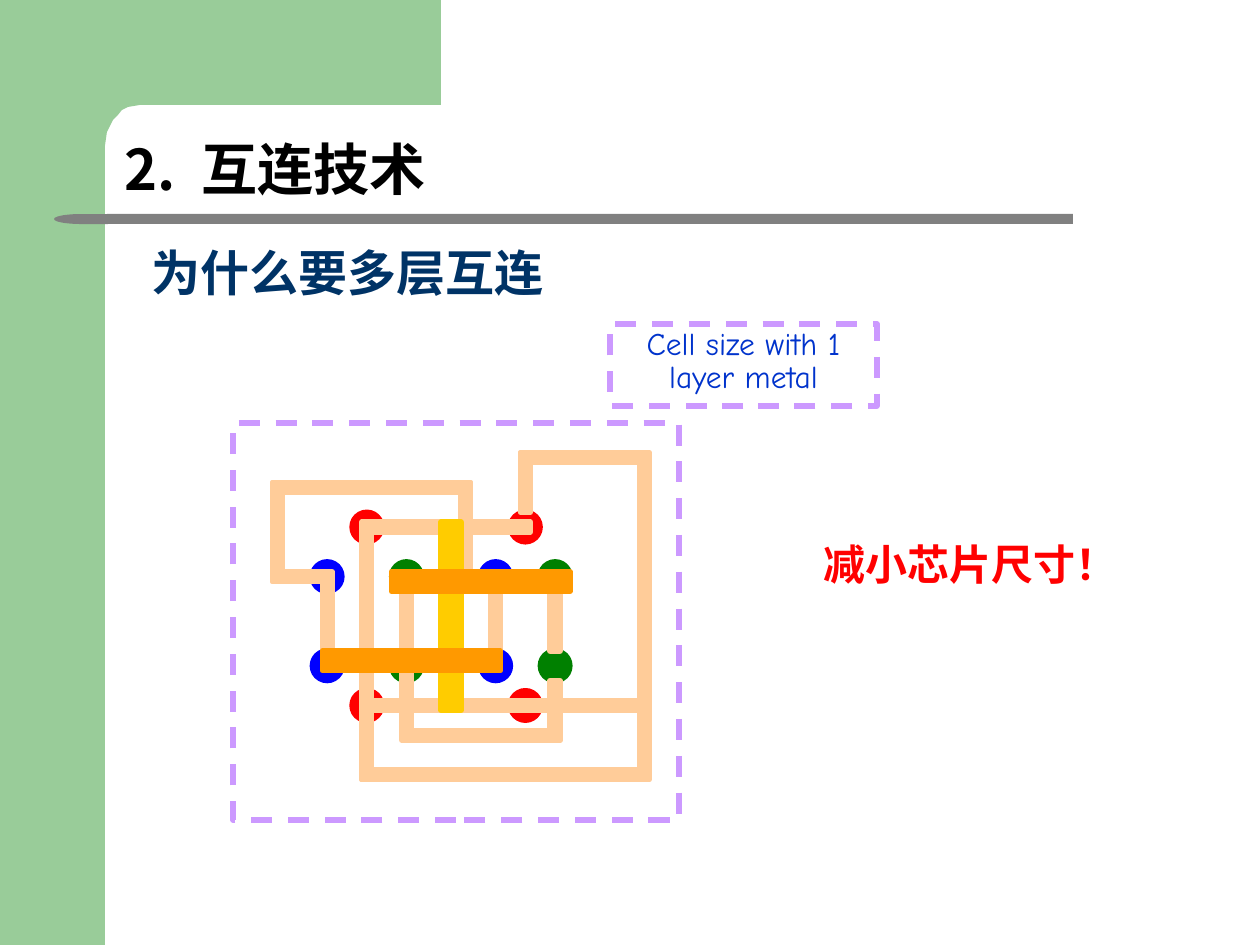
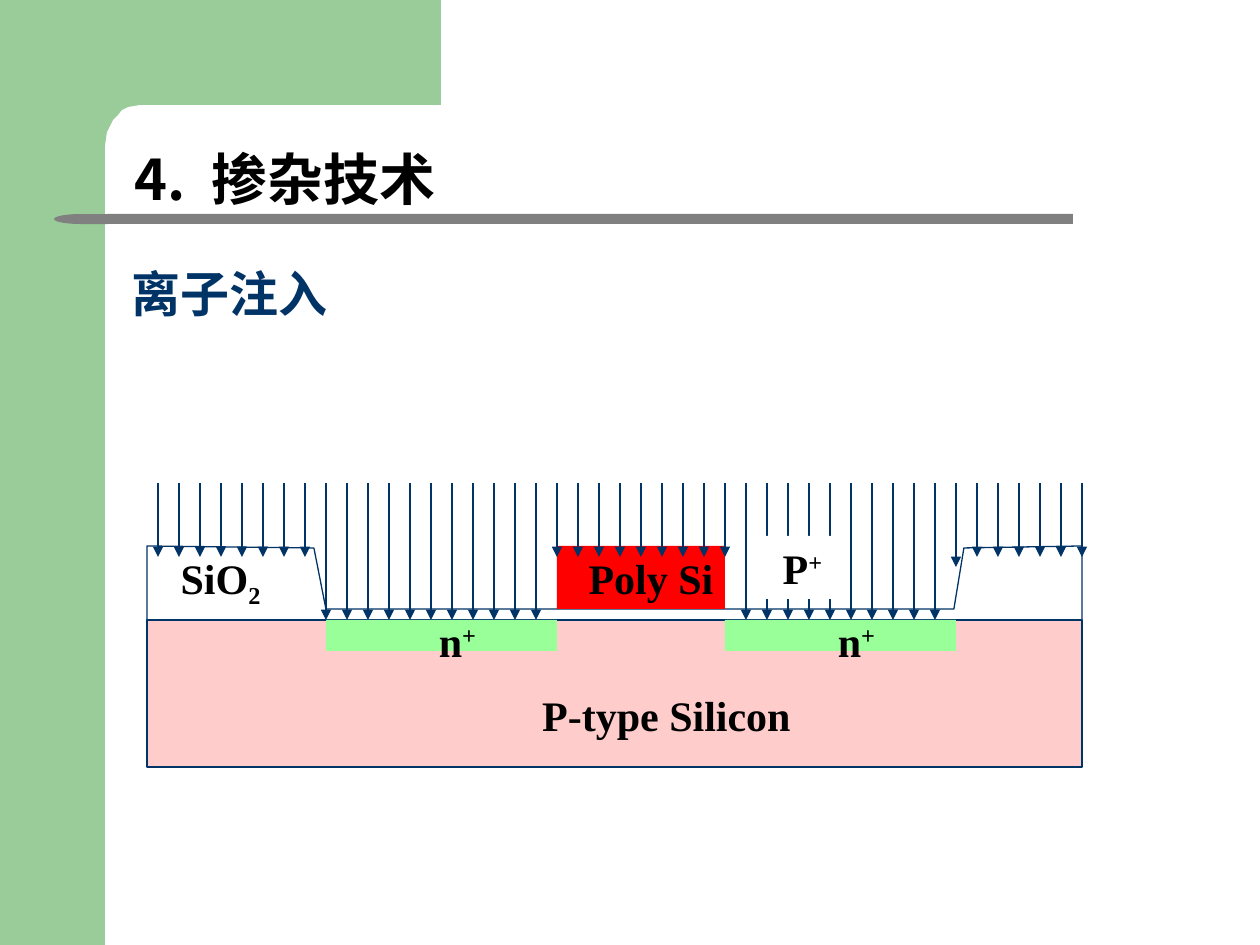
from itertools import product
from math import cos, radians, sin

from lxml.etree import SubElement
from pptx import Presentation
from pptx.dml.color import RGBColor
from pptx.enum.dml import MSO_LINE
from pptx.enum.shapes import MSO_CONNECTOR, MSO_SHAPE
from pptx.enum.text import MSO_ANCHOR, MSO_AUTO_SIZE, PP_ALIGN
from pptx.oxml.ns import qn
from pptx.util import Emu, Pt

PX = 914400 / 126
CJK, SERIF, HAND = "Noto Sans CJK SC", "Times New Roman", "Comic Neue"

BAND = RGBColor(0x99, 0xCC, 0x99)
RULE = RGBColor(0x80, 0x80, 0x80)
NAVY = RGBColor(0x00, 0x33, 0x66)
BLACK = RGBColor(0x00, 0x00, 0x00)
WHITE = RGBColor(0xFF, 0xFF, 0xFF)
RED = RGBColor(0xFF, 0x00, 0x00)
BLUE = RGBColor(0x00, 0x00, 0xFF)
GREEN = RGBColor(0x00, 0x80, 0x00)
METAL_1 = RGBColor(0xFF, 0xCC, 0x99)
METAL_2 = RGBColor(0xFF, 0xCC, 0x00)
METAL_3 = RGBColor(0xFF, 0x99, 0x00)
LILAC = RGBColor(0xCC, 0x99, 0xFF)
LABEL_BLUE = RGBColor(0x00, 0x33, 0xCC)
SILICON = RGBColor(0xFF, 0xCC, 0xCC)
JUNCTION = RGBColor(0x99, 0xFF, 0x99)

# Interconnect layout, in grid cells: 45 columns across the cell outline
CELL_BOX = (233, 423, 446, 397)
CELL = CELL_BOX[2] / 45
CONTACTS = [  # colour, columns, rows
    (BLUE, (8, 25), (14, 23)),
    (RED, (12, 28), (9, 27)),
    (GREEN, (16, 31), (14, 23)),
]
WIRES = [  # colour, (column, row, width, height)
    (METAL_1, [(col, 16, 1, 7) for col in (9, 17, 26, 32)]),
    (METAL_1, [(4, 15, 6, 1), (4, 6, 1, 10), (4, 6, 20, 1), (23, 6, 1, 10), (23, 15, 4, 1)]),
    (METAL_1, [(17, 23, 1, 8), (17, 31, 16, 1), (32, 26, 1, 6)]),
    (METAL_1, [(29, 3, 13, 1), (29, 3, 1, 6), (41, 4, 1, 31), (30, 28, 12, 1),
               (13, 11, 1, 25), (13, 35, 29, 1)]),
    (METAL_1, [(13, 10, 17, 1), (13, 28, 17, 1)]),
    (METAL_2, [(21, 10, 2, 19)]),
    (METAL_3, [(9, 23, 18, 2), (16, 15, 18, 2)]),
]
SIZE_LABEL = ("Cell size with 1 layer metal", (610, 324, 267, 82))
CONCLUSION = ("减小芯片尺寸！", (809, 532, 324, 64))

# Ion implantation cross-section
SUBSTRATE = (147, 620, 935, 147)
OXIDE = [(147, 620), (147, 546), (314, 548), (326, 609), (954, 609),
         (964, 548), (1082, 546), (1082, 620)]
GATE = (557, 546, 168, 63)
JUNCTIONS = [(326, 620, 231, 31), (725, 620, 231, 31)]
ION_LEFT, ION_TOP, ION_STEP = 158, 483, 21
ION_RUNS = [(8, 557), (11, 620), (9, 557), (10, 620), (1, 567), (6, 557)]  # count, tip
ION_BOX = (766, 536, 73, 63)
SECTION_LABELS = [  # text, raised or lowered text, its offset, box
    ("Poly Si", "", 0, (567, 546, 168, 63)),
    ("n", "+", 30, (410, 609, 95, 63)),
    ("n", "+", 30, (809, 609, 95, 63)),
    ("P-type Silicon", "", 0, (514, 683, 305, 63)),
    ("SiO", "2", -25, (168, 546, 105, 115)),
    ("P", "+", 30, ION_BOX),
]


def emu(*lengths):
    return [Emu(round(v * PX)) for v in lengths]


def add_run(p, text, size, font, color, bold=True):
    r = p.add_run()
    r.text = text
    r.font.size, r.font.bold, r.font.name = Pt(size), bold, font
    r.font.color.rgb = color
    east = CJK if font == SERIF else font
    SubElement(r.font._element, qn("a:ea")).set("typeface", east)
    return r


def paint(sp, fill=None, line=None, width=3):
    sp.shadow.inherit = False
    if fill is None:
        sp.fill.background()
    else:
        sp.fill.solid()
        sp.fill.fore_color.rgb = fill
    if line is None:
        sp.line.fill.background()
    else:
        sp.line.color.rgb = line
        sp.line.width = Pt(width)
    return sp


def add_box(s, box, fill=None, line=None, width=3, kind=MSO_SHAPE.RECTANGLE):
    return paint(s.shapes.add_shape(kind, *emu(*box)), fill, line, width)


def add_outline(s, points, **style):
    builder = s.shapes.build_freeform(*points[0], scale=PX)
    builder.add_line_segments(points[1:], close=True)
    return paint(builder.convert_to_shape(), **style)


def add_label(s, box, wrap=False):
    """Centred text box; returns its first paragraph."""
    tf = s.shapes.add_textbox(*emu(*box)).text_frame
    tf.word_wrap = wrap
    p = tf.paragraphs[0]
    p.alignment = PP_ALIGN.CENTER
    return p


def heading_paragraph(sp, box):
    """Bottom-anchored left text, set in from the box by its corner radius."""
    x, y, w, h = box
    inset = h * 0.063
    sp.left, sp.top, sp.width, sp.height = emu(x + inset, y + inset, w - 2 * inset, h - 2 * inset)
    tf = sp.text_frame
    tf.word_wrap, tf.auto_size = True, MSO_AUTO_SIZE.NONE
    tf.vertical_anchor = MSO_ANCHOR.BOTTOM
    p = tf.paragraphs[0]
    p.alignment, p.line_spacing = PP_ALIGN.LEFT, 0.9
    return p


def add_frame(s):
    """Green corner band and grey rule shared by the slides."""
    add_box(s, (0, 0, 105, 945), BAND)
    corner = [(140 - 35 * sin(radians(a)), 146 - 41 * cos(radians(a))) for a in range(0, 91, 10)]
    add_outline(s, [(441, 0), (441, 105), *corner, (105, 161), (63, 161), (63, 0)], fill=BAND)
    add_box(s, (107, 214, 966, 10), RULE)
    add_box(s, (54, 214, 54, 10), RULE, kind=MSO_SHAPE.FLOWCHART_DELAY).rotation = 180


def new_slide(prs, number, chapter, chapter_box, title, title_box):
    s = prs.slides.add_slide(prs.slide_layouts[5])
    add_frame(s)
    add_run(heading_paragraph(s.shapes.title, title_box), title, 28, CJK, NAVY)
    p = heading_paragraph(s.shapes.add_textbox(0, 0, 0, 0), chapter_box)
    add_run(p, number, 32, CJK, BLACK)
    gap = add_run(p, " ", 32, CJK, BLACK)
    gap.font._element.set("spc", "740")
    add_run(p, chapter, 32, CJK, BLACK)
    return s


def on_grid(col, row, w, h):
    return CELL_BOX[0] + col * CELL, CELL_BOX[1] + row * CELL, w * CELL, h * CELL


def add_ion(s, x, tip):
    c = s.shapes.add_connector(MSO_CONNECTOR.STRAIGHT, *emu(x, ION_TOP, x, tip))
    c.line.color.rgb, c.line.width = NAVY, Pt(0.75)
    SubElement(c.line._get_or_add_ln(), qn("a:tailEnd")).set("type", "triangle")
    SubElement(c._element.spPr, qn("a:effectLst"))


def build_interconnect(prs):
    s = new_slide(prs, "2.", "互连技术", (105, 106, 764, 110),
                  "为什么要多层互连", (134, 234, 963, 79))
    for color, cols, rows in CONTACTS:
        for col, row in product(cols, rows):
            add_box(s, on_grid(col, row, 3, 3), color, color, kind=MSO_SHAPE.OVAL)
    for color, bars in WIRES:
        for bar in bars:
            add_box(s, on_grid(*bar), color, color)
    text, label_box = SIZE_LABEL
    for box in (CELL_BOX, label_box):
        add_box(s, box, line=LILAC).line.dash_style = MSO_LINE.DASH
    p = add_label(s, label_box, wrap=True)
    p.line_spacing = 0.85
    add_run(p, text, 18, HAND, LABEL_BLUE, bold=False)
    text, box = CONCLUSION
    add_run(add_label(s, box), text, 24, SERIF, RED)


def build_implantation(prs):
    s = new_slide(prs, "4.", "掺杂技术", (115, 116, 576, 110),
                  "离子注入", (115, 265, 576, 69))
    add_box(s, SUBSTRATE, SILICON, NAVY, 0.75)
    add_outline(s, OXIDE, line=NAVY, width=0.75)
    add_box(s, GATE, RED)
    tips = [tip for count, tip in ION_RUNS for _ in range(count)]
    for i, tip in enumerate(tips):
        add_ion(s, ION_LEFT + i * ION_STEP, tip)
    for box in JUNCTIONS:
        add_box(s, box, JUNCTION)
    add_box(s, ION_BOX, WHITE)
    for text, script, offset, box in SECTION_LABELS:
        p = add_label(s, box)
        add_run(p, text, 24, SERIF, BLACK)
        if script:
            r = add_run(p, script, 24, SERIF, BLACK)
            r.font._element.set("baseline", str(offset * 1000))


def main():
    prs = Presentation()
    prs.slide_width, prs.slide_height = emu(1260, 945)
    build_interconnect(prs)
    build_implantation(prs)
    prs.save("out.pptx")


if __name__ == "__main__":
    main()
